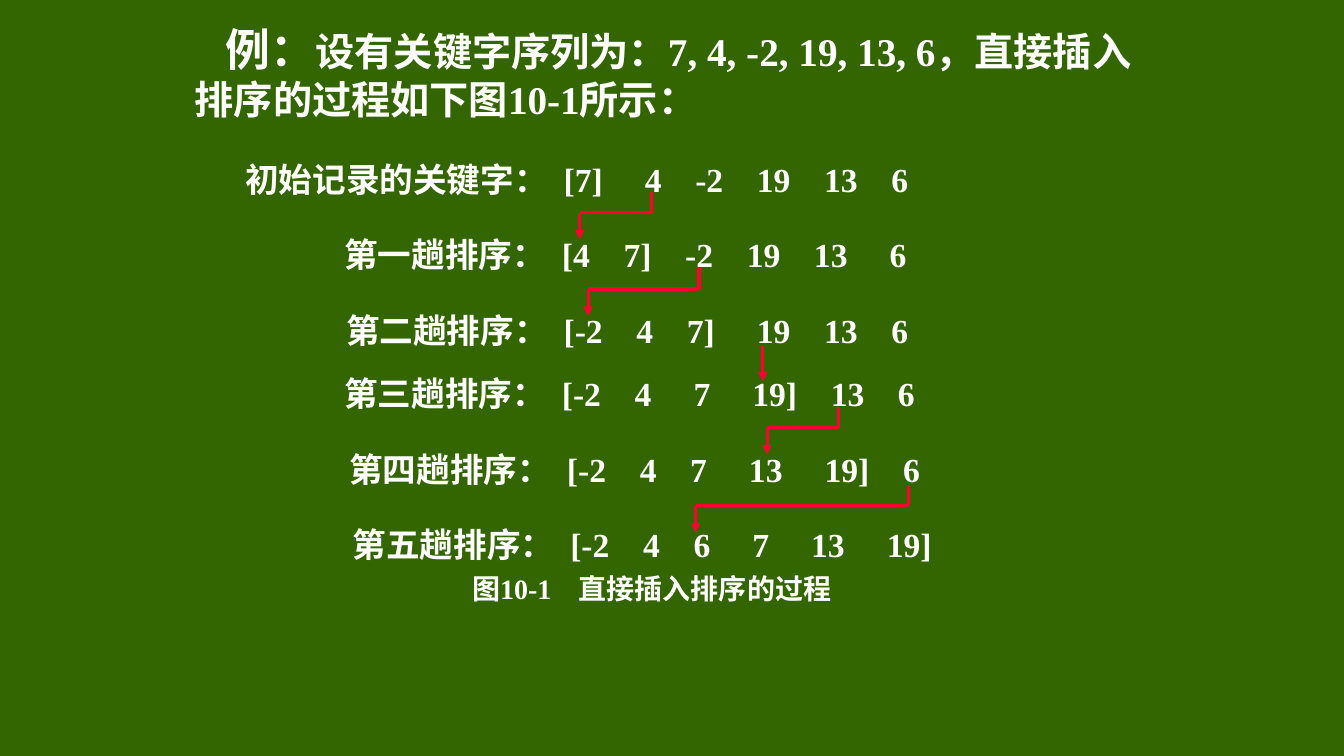
from lxml import etree
from pptx import Presentation
from pptx import util as u
from pptx.dml.color import RGBColor
from pptx.enum import shapes, text
from pptx.oxml.ns import qn

INK = {"back": "336600", "text": "FFFFFF", "arrow": "FF0033"}
LATIN, HAN = "Times New Roman", "Noto Sans CJK SC"
COLS, ROWS = 160, 90

deck = Presentation()
deck.slide_width, deck.slide_height = u.Inches(13.33), u.Inches(7.5)
unit = deck.slide_height / ROWS
slide = deck.slides.add_slide(deck.slide_layouts[6])
fill = slide.background.fill
fill.solid()
fill.fore_color.rgb = RGBColor.from_string(INK["back"])


def write(home, spot, runs, stops=(), **frame):
    box = home.add_textbox(*[u.Emu(round(n * unit)) for n in spot])
    body = box.text_frame
    for key, value in {"word_wrap": True, **frame}.items():
        setattr(body, key, value)
    para = body.paragraphs[0]
    for words, size, face in runs:
        run = para.add_run()
        run.text = words
        for key, value in {"size": u.Pt(size), "bold": True, "name": face}.items():
            setattr(run.font, key, value)
        run.font.color.rgb = RGBColor.from_string(INK["text"])
        etree.SubElement(run.font._element, qn("a:ea"), typeface=HAN)
    if stops:
        tabs = etree.SubElement(para._p.get_or_add_pPr(), qn("a:tabLst"))
        for stop in stops:
            etree.SubElement(tabs, qn("a:tab"), pos=str(round(stop * unit)), algn="l")
    return para


def draw(home, start, end, head=False):
    ends = [u.Emu(round(n * unit)) for n in (*start, *end)]
    link = home.add_connector(shapes.MSO_CONNECTOR.STRAIGHT, *ends)
    link.line.width = u.Pt(2.25)
    link.line.color.rgb = RGBColor.from_string(INK["arrow"])
    if head:
        etree.SubElement(link.line._get_or_add_ln(), qn("a:tailEnd"), type="triangle")
    etree.SubElement(link._element.spPr, qn("a:effectLst"))


intro = write(slide.shapes, (22, 2, 117, 13.3), [
    ("例", 32, HAN),
    ("：", 32, LATIN),
    ("设有关键字序列为：7, 4, -2, 19, 13, 6，直接插入排序的过程如下图10-1所示：", 28, LATIN),
])
intro.space_before = u.Pt(3)
intro._p.get_or_add_pPr().set("indent", str(round(3.7 * unit)))

chart = slide.shapes.add_group_shape().shapes
middle = {"vertical_anchor": text.MSO_ANCHOR.MIDDLE, "margin_right": 0}

passes = [
    (28, 18.7, "初始记录的关键字：", "[7] 4 -2 19 13 6", (5, 4, 4, 4, 4)),
    (39.8, 27.7, "第一趟排序：", "[4 7] -2 19 13 6", (4, 4, 4, 4, 5)),
    (40, 36.7, "第二趟排序：", "[-2 4 7] 19 13 6", (4, 4, 5, 4, 4)),
    (39.8, 44.2, "第三趟排序：", "[-2 4 7 19] 13 6", (4, 5, 5, 4, 4)),
    (40.4, 53.2, "第四趟排序：", "[-2 4 7 13 19] 6", (4, 4, 5, 5, 4)),
    (40.8, 62.2, "第五趟排序：", "[-2 4 6 7 13 19]", (4, 4, 5, 5, 5)),
]
for left, top, label, keys, gaps in passes:
    place = 4 * len(label) + 1.9
    stops = []
    for key, gap in zip(keys.split(), (*gaps, 0)):
        stops.append(place)
        place += gap + sum(2 if sign.isdigit() else 4 / 3 for sign in key)
    line = "\t".join([label, *keys.split()])
    write(chart, (left, top, place + 2.4, 5.2), [(line, 24, LATIN)], stops, **middle)

moves = [
    (77.5, 22.8, 69),
    (83.2, 31.9, 70),
    (90.8, 41.2, 90.8),
    (99.8, 48.4, 91.3),
    (108.1, 57.7, 82.8),
]
for old, top, new in moves:
    if old == new:
        draw(chart, (old, top), (new, top + 4.2), True)
    else:
        bend = top + 2.5
        draw(chart, (old, top), (old, bend))
        draw(chart, (new, bend), (old, bend))
        draw(chart, (new, bend), (new, bend + 3.2), True)

write(chart, (55, 67.7, 44, 4.7), [("图10-1\t直接插入排序的过程", 20, LATIN)], [12.7], **middle)

deck.save("out.pptx")
